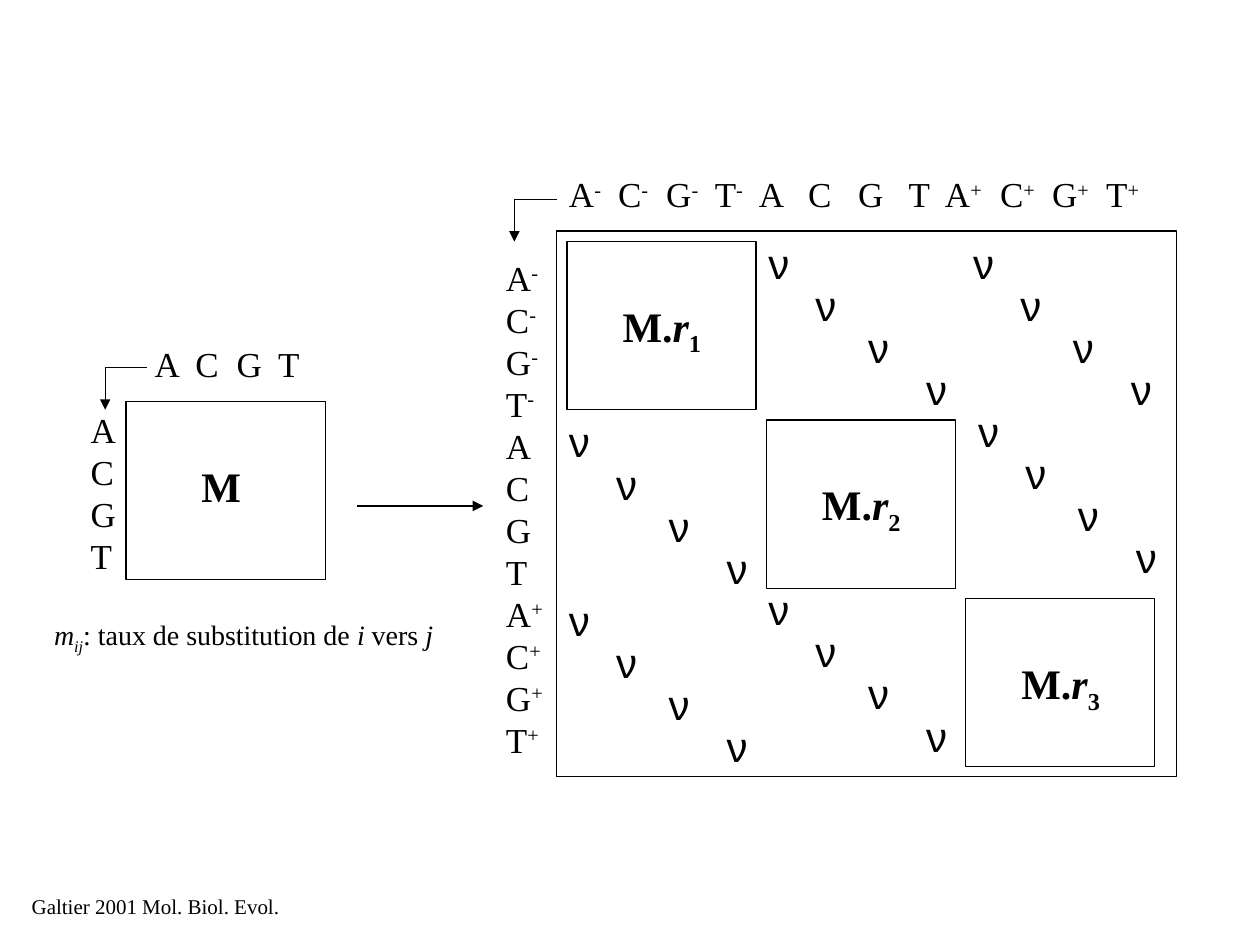
import pptx
import pptx.dml.color
import pptx.enum.shapes
import pptx.enum.text
import pptx.oxml
import pptx.util
from lxml import etree
from pptx.util import Cm

BLACK = pptx.dml.color.RGBColor(0x00, 0x00, 0x00)
SERIF = "Times New Roman"
SANS = "Arial"

ITALIC = {"italic": True}
SUPERSCRIPT = {"baseline": 30}
SUBSCRIPT = {"baseline": -25}

BASES = "ACGT"
STATES = [(base, sign) for sign in ("-", "", "+") for base in BASES]


class Diagram:
    """Holds the line and text style and the slide being drawn."""

    line_width = pptx.util.Pt(0.75)

    def __init__(self, slide):
        self.slide = slide

    def rectangle(self, left, top, width, height):
        shape = self.slide.shapes.add_shape(
            pptx.enum.shapes.MSO_SHAPE.RECTANGLE,
            Cm(left), Cm(top), Cm(width), Cm(height))
        shape.shadow.inherit = False
        shape.fill.background()
        shape.line.color.rgb = BLACK
        shape.line.width = self.line_width

    def line(self, start, end, arrow=False):
        connector = self.slide.shapes.add_connector(
            pptx.enum.shapes.MSO_CONNECTOR.STRAIGHT,
            *(Cm(value) for value in (*start, *end)))
        connector.line.color.rgb = BLACK
        connector.line.width = self.line_width
        if arrow:
            etree.SubElement(connector.line._get_or_add_ln(),
                             pptx.oxml.ns.qn("a:tailEnd"), type="triangle")
        etree.SubElement(connector._element.spPr, pptx.oxml.ns.qn("a:effectLst"))

    def elbow(self, left, top):
        """Draw the bent arrow that leads from column labels to row labels."""
        self.line((left, top), (left, top + 0.85), arrow=True)
        self.line((left, top), (left + 0.85, top))

    def text(self, left, top, width, height, paragraphs, size, font=SERIF,
             bold=False, wrap=False, tabs=(), shapes=None):
        """Add a text box; each paragraph is a list of (text, format) runs."""
        box = (shapes or self.slide.shapes).add_textbox(
            Cm(left), Cm(top), Cm(width), Cm(height))
        frame = box.text_frame
        frame.word_wrap = wrap
        frame.auto_size = pptx.enum.text.MSO_AUTO_SIZE.SHAPE_TO_FIT_TEXT
        for index, runs in enumerate(paragraphs):
            paragraph = frame.add_paragraph() if index else frame.paragraphs[0]
            if tabs:
                properties = paragraph._p.get_or_add_pPr()
                tab_list = etree.SubElement(properties, pptx.oxml.ns.qn("a:tabLst"))
                for position in tabs:
                    etree.SubElement(tab_list, pptx.oxml.ns.qn("a:tab"),
                                     pos=str(Cm(position)), algn="l")
            for content, changes in runs:
                run = paragraph.add_run()
                run.text = content
                values = {"name": font, "size": pptx.util.Pt(size), "bold": bold, **changes}
                baseline = values.pop("baseline", 0)
                for name, value in values.items():
                    setattr(run.font, name, value)
                run.font.color.rgb = BLACK
                if baseline:
                    run._r.get_or_add_rPr().set("baseline", str(baseline * 1000))

    def diagonal(self, left, top):
        """Draw one group of four ν along the diagonal of a block."""
        group = self.slide.shapes.add_group_shape()
        for row, offset in enumerate((0, 0.95, 2.01, 3.18)):
            self.text(left + offset, top + 0.85 * row, 0.94, 1.27,
                      [[("ν", {})]], 24, font=SANS, shapes=group.shapes)


def state_runs(base, sign):
    return [(base, {})] + ([(sign, SUPERSCRIPT)] if sign else [])


def tabbed_runs(states):
    runs = []
    for index, (base, sign) in enumerate(states):
        runs += state_runs("\t" + base if index else base, sign)
    return runs


def draw_simple_matrix(diagram):
    diagram.rectangle(2.54, 8.09, 4.02, 3.6)
    simple_states = [(base, "") for base in BASES]
    diagram.text(2.87, 6.77, 3.6, 1.11, [tabbed_runs(simple_states)], 20,
                 wrap=True, tabs=(0.82, 1.65, 2.49))
    diagram.text(1.58, 8.11, 1.02, 3.66,
                 [state_runs(*state) for state in simple_states], 20)
    diagram.text(3.81, 9.15, 1.3, 1.27, [[("M", {})]], 24, bold=True)
    diagram.text(0.84, 12.32, 8.23, 1.04, [[
        ("m", ITALIC), ("ij", {**ITALIC, **SUBSCRIPT}),
        (": taux de substitution de ", {}), ("i", ITALIC),
        (" vers ", {}), ("j", ITALIC)]], 16, wrap=True)
    diagram.elbow(2.12, 7.41)


def draw_block_matrix(diagram):
    diagram.rectangle(11.22, 4.66, 12.5, 11)
    diagram.text(11.22, 3.36, 13.33, 1.11, [tabbed_runs(STATES)], 20, wrap=True,
                 tabs=(0.99, 1.96, 2.94, 3.83, 4.82, 5.83, 6.85, 7.58, 8.69, 9.74, 10.83))
    diagram.text(9.95, 5.04, 1.7, 10.41,
                 [state_runs(*state) for state in STATES], 20, wrap=True)
    for index in range(3):
        left, top = 11.43 + 4.02 * index, 4.87 + 3.6 * index
        diagram.rectangle(left, top, 3.81, 3.39)
        diagram.text(left + 0.87, top + 1.06, 2.3, 1.42, [[
            ("M.", {}), ("r", ITALIC), (str(index + 1), SUBSCRIPT)]], 24,
            bold=True, wrap=True)
    for left, top in ((11.22, 8.26), (11.22, 11.85), (15.24, 4.66),
                      (15.24, 11.64), (19.37, 4.66), (19.47, 8.04)):
        diagram.diagonal(left, top)
    diagram.elbow(10.37, 4.02)


def main():
    presentation = pptx.Presentation()
    presentation.slide_width = Cm(25.4)
    presentation.slide_height = Cm(19.05)
    diagram = Diagram(presentation.slides.add_slide(presentation.slide_layouts[6]))
    draw_simple_matrix(diagram)
    diagram.line((7.2, 10.2), (9.74, 10.2), arrow=True)
    draw_block_matrix(diagram)
    diagram.text(0.39, 17.88, 5.61, 0.76,
                 [[("Galtier 2001 Mol. Biol. Evol.", {})]], 12)
    presentation.save("out.pptx")


if __name__ == "__main__":
    main()
